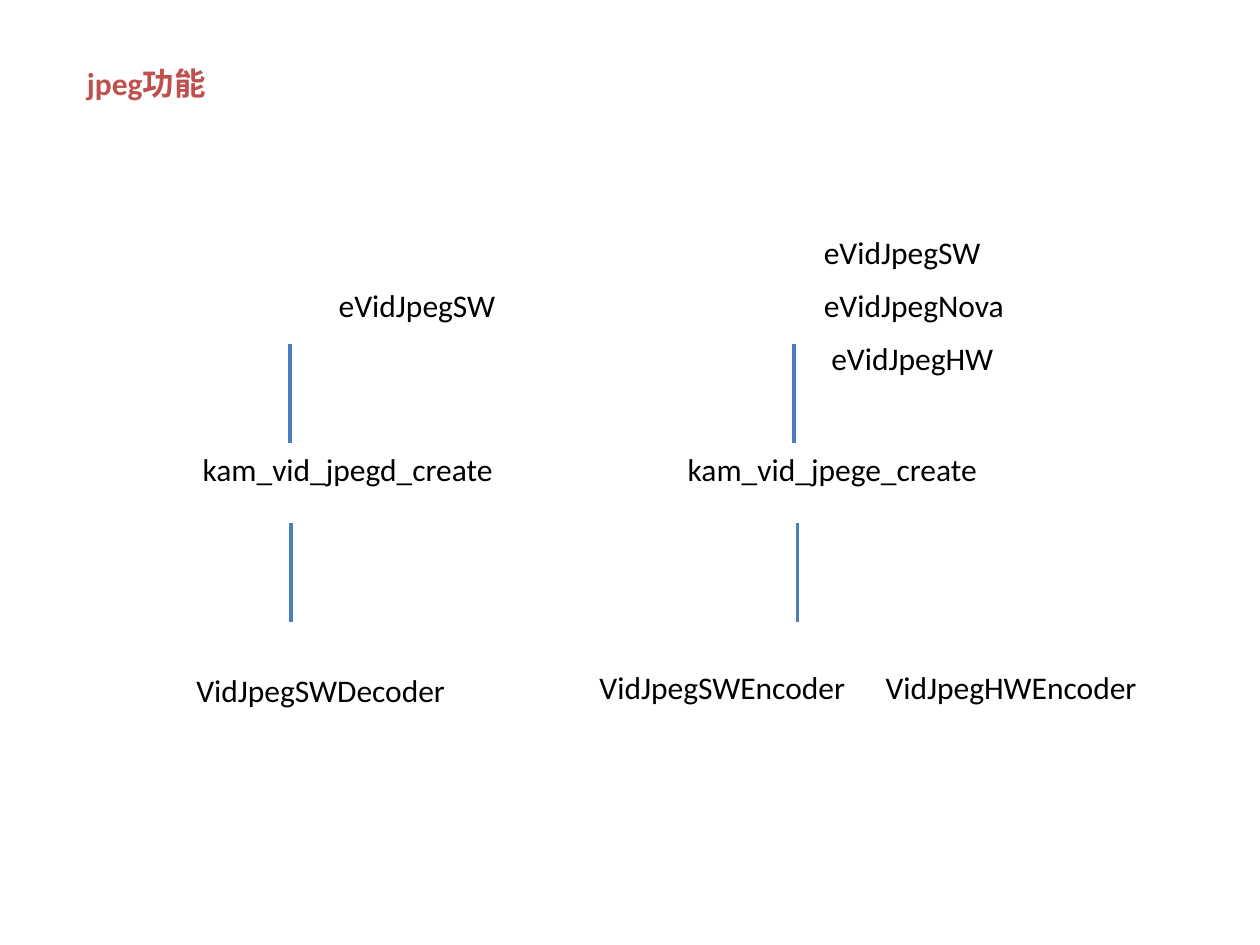
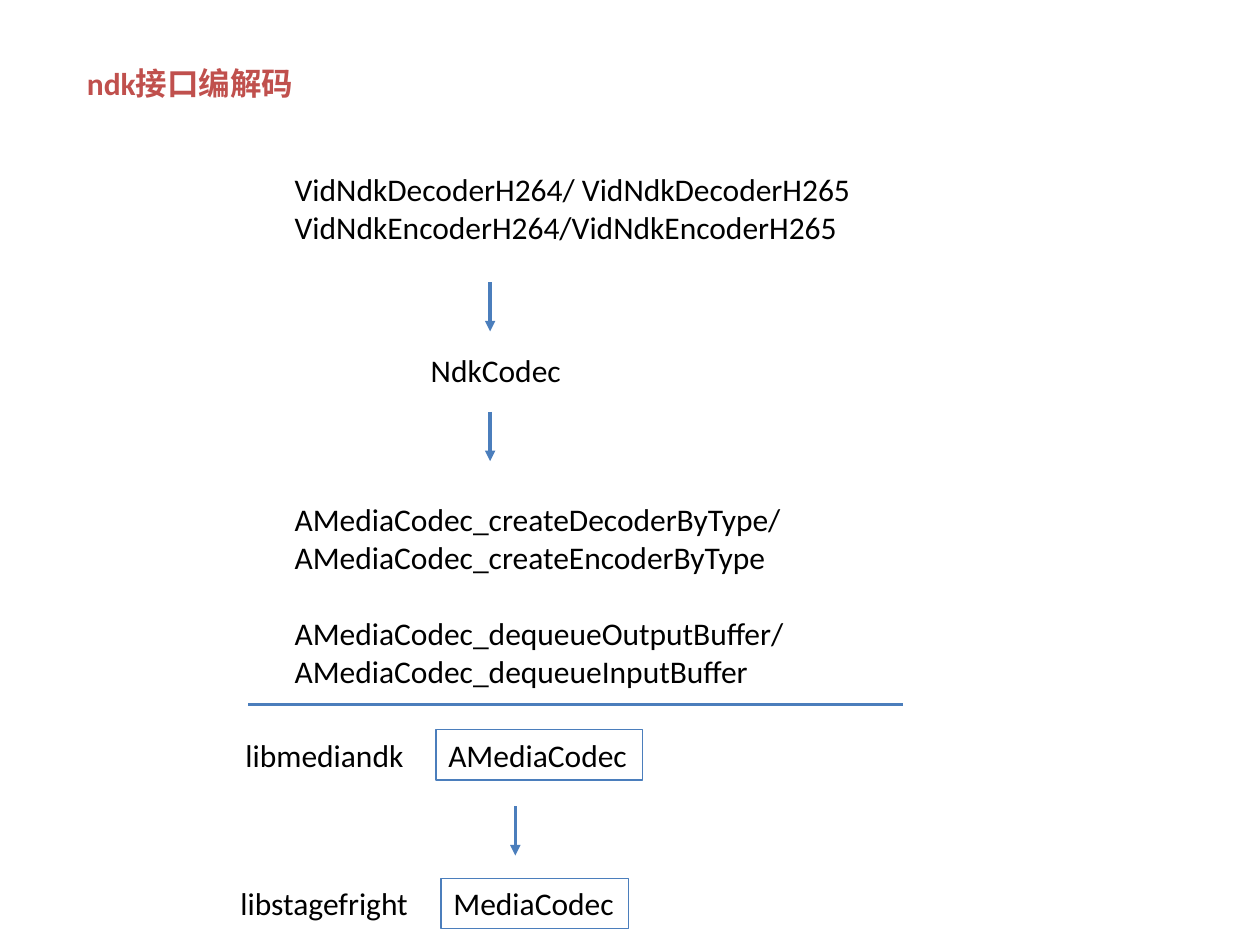
from lxml import etree
from pptx import Presentation
from pptx.dml.color import RGBColor
from pptx.enum.shapes import MSO_CONNECTOR, MSO_SHAPE
from pptx.enum.text import MSO_ANCHOR, MSO_AUTO_SIZE, PP_ALIGN
from pptx.oxml.ns import qn
from pptx.util import Inches, Pt

LINE = MSO_CONNECTOR.STRAIGHT
RECT = MSO_SHAPE.RECTANGLE
TOP = MSO_ANCHOR.TOP
LEFT = PP_ALIGN.LEFT
FIT = MSO_AUTO_SIZE.SHAPE_TO_FIT_TEXT
FIXED = MSO_AUTO_SIZE.NONE

RED, BLUE, BLACK = "C0504D", "4B7EBC", "000000"
ROW = 0.4
DROP = 0.79
STEP = 0.39


def color(code):
    return RGBColor.from_string(code)


class Deck:
    """Holds the shared style and the slide being drawn."""

    def __init__(self):
        self.prs = Presentation()
        self.prs.slide_width = Inches(10)
        self.prs.slide_height = Inches(7.5)
        self.font = "Calibri"
        self.size = Pt(18)
        self.slide = None

    def style(self, para, tone=BLACK, bold=False):
        para.alignment = LEFT
        para.font.name = self.font
        para.font.size = self.size
        para.font.bold = bold
        para.font.color.rgb = color(tone)

    def page(self, title, width):
        self.slide = self.prs.slides.add_slide(self.prs.slide_layouts[5])
        head = self.slide.shapes.title
        head.left, head.top = Inches(0.59), Inches(0.46)
        head.width, head.height = Inches(width), Inches(ROW)
        frame = head.text_frame
        frame.text = title
        frame.word_wrap = True
        frame.auto_size = FIXED
        frame.vertical_anchor = TOP
        self.style(frame.paragraphs[0], RED, True)

    def fill(self, shape, lines):
        frame = shape.text_frame
        frame.word_wrap = False
        frame.auto_size = FIT
        frame.vertical_anchor = TOP
        frame.text = "\n".join(lines)
        for para in frame.paragraphs:
            self.style(para)
        return frame.paragraphs

    def text(self, left, top, width, *lines, height=ROW):
        box = self.slide.shapes.add_textbox(
            Inches(left), Inches(top), Inches(width), Inches(height))
        return self.fill(box, lines)

    def frame(self, left, top, width, label):
        """Add a label with a thin outline."""
        box = self.slide.shapes.add_shape(
            RECT, Inches(left), Inches(top), Inches(width), Inches(ROW))
        box.shadow.inherit = False
        box.fill.background()
        box.line.color.rgb = color(BLUE)
        box.line.width = Pt(0.75)
        self.fill(box, [label])

    def line(self, left, top, across=0, down=0, arrow=False):
        link = self.slide.shapes.add_connector(
            LINE, Inches(left), Inches(top),
            Inches(left + across), Inches(top + down))
        link.line.color.rgb = color(BLUE)
        link.line.width = Pt(2)
        if arrow:
            etree.SubElement(link.line._get_or_add_ln(), qn("a:tailEnd"),
                             type="triangle")
        etree.SubElement(link._element.spPr, qn("a:effectLst"))


def jpeg(deck):
    deck.page("jpeg功能", 1.16)
    for left, top in ((2.3, 2.73), (2.31, 4.15), (6.3, 2.73), (6.33, 4.15)):
        deck.line(left, top, down=DROP)
    for left, top, width, label in (
            (2.59, 2.22, 1.46, "eVidJpegSW"),
            (1.51, 3.52, 2.53, "kam_vid_jpegd_create"),
            (1.46, 5.28, 2.2, "VidJpegSWDecoder"),
            (6.44, 1.8, 1.46, "eVidJpegSW"),
            (6.44, 2.22, 1.63, "eVidJpegNova"),
            (6.5, 2.64, 1.5, "eVidJpegHW"),
            (5.36, 3.52, 2.52, "kam_vid_jpege_create"),
            (4.66, 5.25, 2.2, "VidJpegSWEncoder"),
            (6.93, 5.25, 2.2, "VidJpegHWEncoder")):
        deck.text(left, top, width, label)


def ndk(deck):
    deck.page("ndk接口编解码", 1.95)
    deck.text(2.24, 1.3, 4.67,
              "VidNdkDecoderH264/ VidNdkDecoderH265",
              "VidNdkEncoderH264/VidNdkEncoderH265", height=0.71)
    deck.text(3.32, 2.74, 1.25, "NdkCodec")
    calls = deck.text(2.24, 3.92, 4.14,
                      "AMediaCodec_createDecoderByType/",
                      "AMediaCodec_createEncoderByType",
                      "AMediaCodec_dequeueOutputBuffer/",
                      "AMediaCodec_dequeueInputBuffer", height=1.62)
    calls[2].space_before = Pt(22)
    deck.line(1.97, 5.59, across=5.2)
    for left, top in ((3.89, 2.24), (3.89, 3.27), (4.09, 6.4)):
        deck.line(left, top, down=STEP, arrow=True)
    deck.text(1.85, 5.79, 1.47, "libmediandk")
    deck.frame(3.46, 5.79, 1.64, "AMediaCodec")
    deck.text(1.81, 6.97, 1.55, "libstagefright")
    deck.frame(3.5, 6.97, 1.49, "MediaCodec")


def main():
    deck = Deck()
    jpeg(deck)
    ndk(deck)
    deck.prs.save("out.pptx")


if __name__ == "__main__":
    main()
